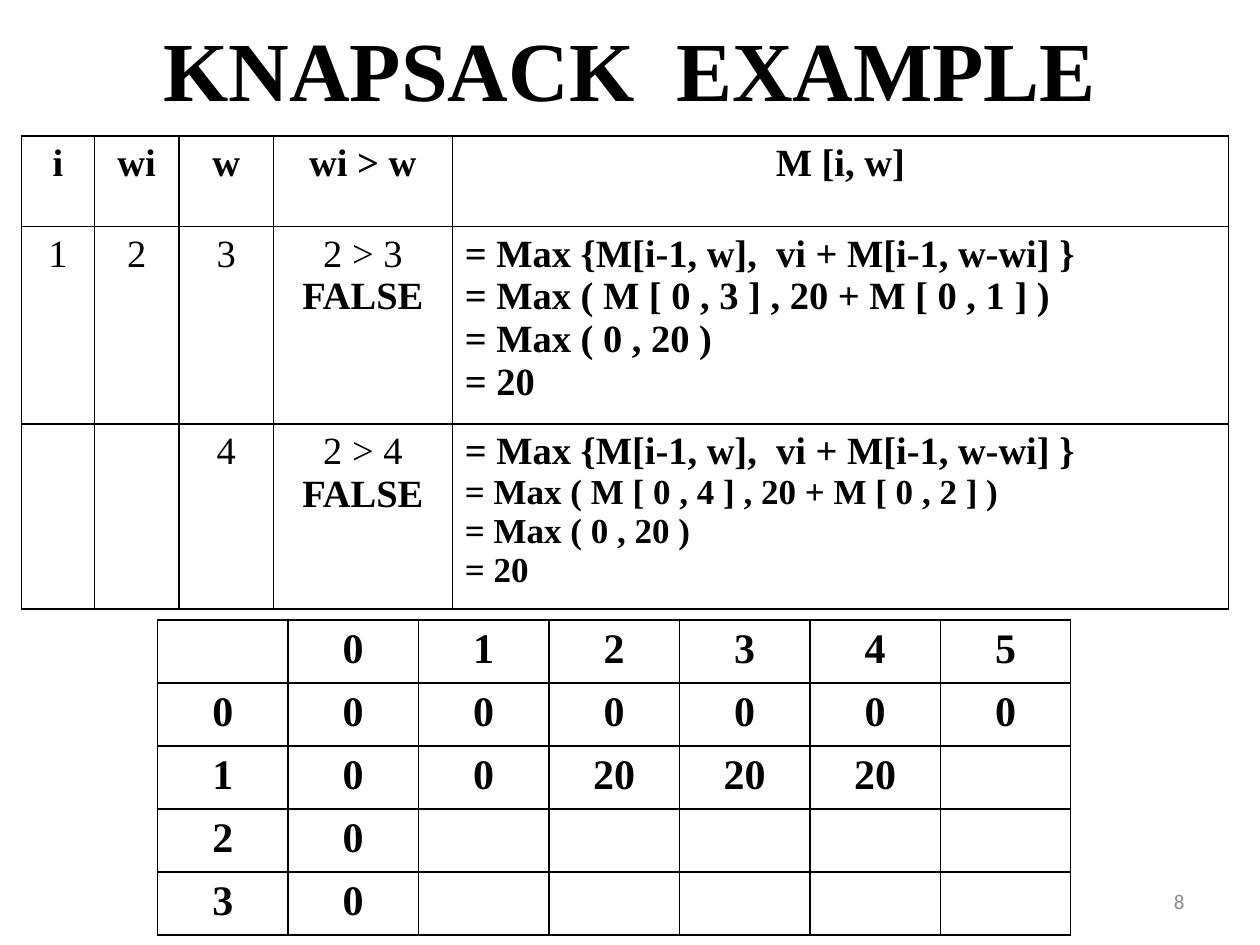
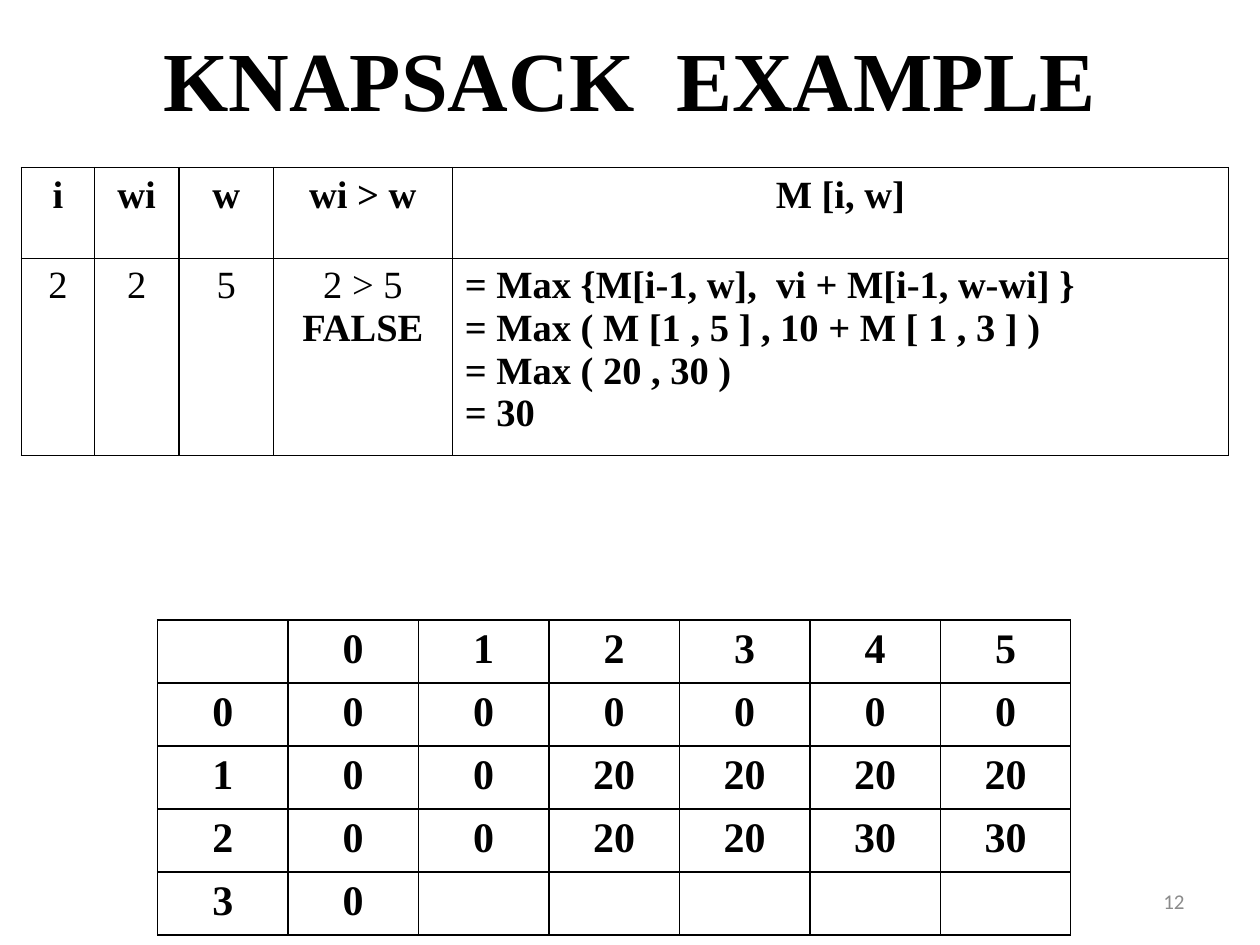
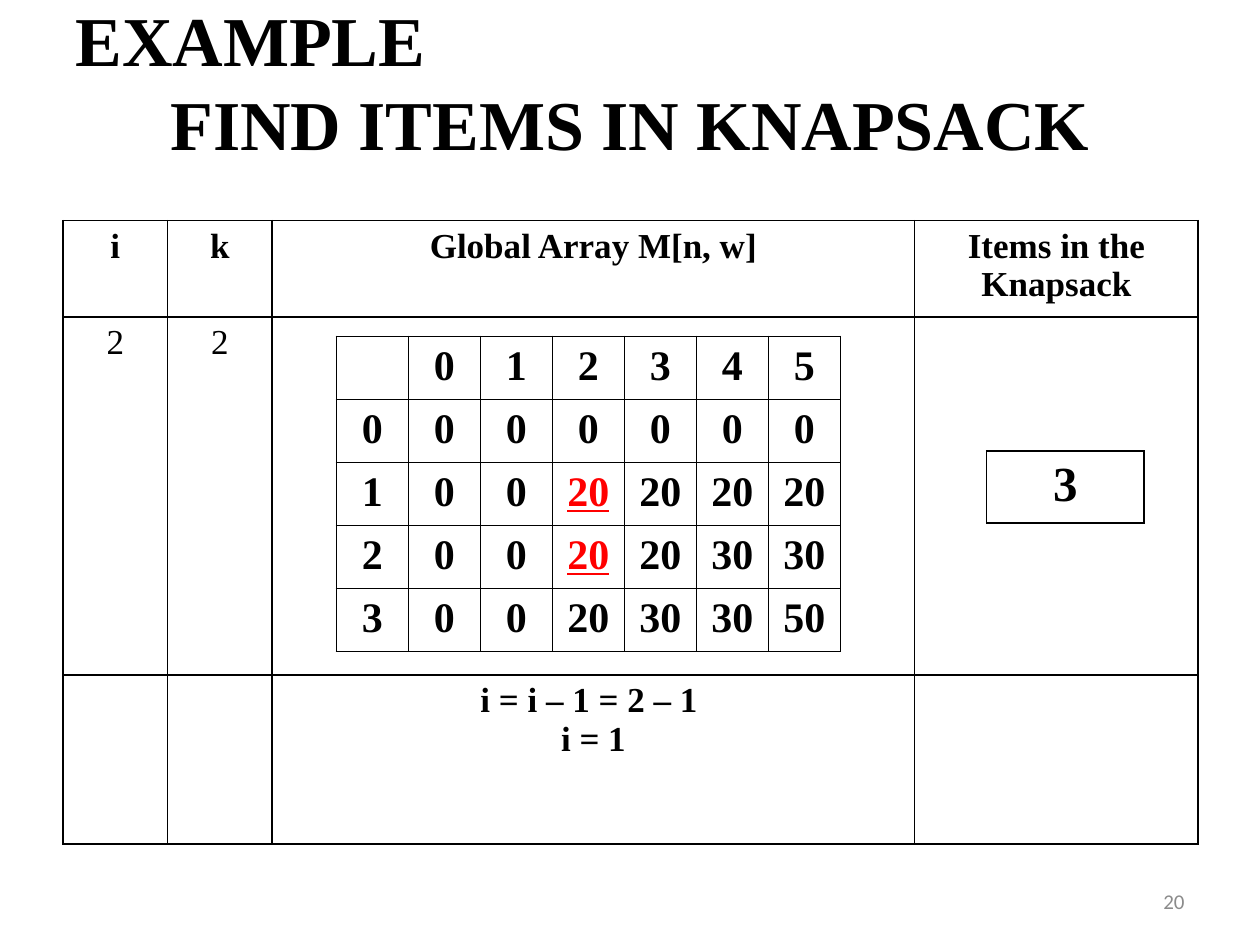
from lxml import etree
from pptx import Presentation
from pptx import util as u
from pptx.dml import color
from pptx.enum import text
from pptx.oxml import ns

BLACK, RED, GREY = "000000", "FF0000", "8B8B8B"
SERIF, SANS = "Times New Roman", "Calibri"
LEFT, CENTER, RIGHT = text.PP_ALIGN.LEFT, text.PP_ALIGN.CENTER, text.PP_ALIGN.RIGHT
TITLE_ONLY = 5
WORK_COLUMNS = [0.58, 0.67, 0.75, 1.42, 6.16]
WORK_HEADER = ["i", "wi", "w", "wi > w", "M [i, w]"]
RECURRENCE = "= Max {M[i-1, w],  vi + M[i-1, w-wi] }"


def rgb(value):
    return color.RGBColor.from_string(value)


def line(words, align=CENTER, **values):
    return {"words": words, "align": align, "values": values}


def plain(words):
    return line(words, bold=False)


def comparison(words):
    return [plain(words), line("FALSE")]


def derivation(*steps, size=22):
    return [line(RECURRENCE, LEFT)] + [line(step, LEFT, size=u.Pt(size)) for step in steps]


def value_grid(*item_rows, marked=()):
    rows = [["", *range(6)], [0] * 7]
    for item, values in enumerate(item_rows, 1):
        rows.append([item, *values, *[""] * (6 - len(values))])
    return [[[line(str(value), color=RED, underline=True)] if (row, column) in marked
             else str(value) for column, value in enumerate(values)]
            for row, values in enumerate(rows)]


class Deck:
    def __init__(self):
        self.deck = Presentation()
        self.deck.slide_width, self.deck.slide_height = u.Inches(10), u.Inches(7.5)
        self.page = None

    def place(self, shape, left, top, width, height):
        for name, value in zip(("left", "top", "width", "height"), (left, top, width, height)):
            setattr(shape, name, u.Inches(value))

    def add_lines(self, frame, lines, **shared):
        for index, item in enumerate(lines):
            para = frame.add_paragraph() if index else frame.paragraphs[0]
            para.alignment = item["align"]
            span = para.add_run()
            span.text = item["words"]
            values = {"name": SERIF, "bold": True, "color": BLACK, **shared, **item["values"]}
            span.font.color.rgb = rgb(values.pop("color"))
            for name, value in values.items():
                setattr(span.font, name, value)

    def start(self, number, lines, size=48, top=0.08, spacing=None):
        self.page = self.deck.slides.add_slide(self.deck.slide_layouts[TITLE_ONLY])
        title = self.page.shapes.title
        self.place(title, 0.5, top, 9, 1.08)
        frame = title.text_frame
        frame.auto_size = text.MSO_AUTO_SIZE.NONE
        frame.vertical_anchor = text.MSO_ANCHOR.MIDDLE
        self.add_lines(frame, lines, size=u.Pt(size))
        for para in frame.paragraphs:
            para.line_spacing = spacing
        self.number(number)

    def number(self, number):
        box = self.page.shapes.add_textbox(0, 0, 0, 0)
        self.place(box, 7.17, 6.95, 2.33, 0.4)
        frame = box.text_frame
        frame.word_wrap = True
        frame.vertical_anchor = text.MSO_ANCHOR.MIDDLE
        self.add_lines(frame, [line(str(number), RIGHT)],
                       name=SANS, size=u.Pt(12), bold=False, color=GREY)

    def border(self, cell):
        properties = cell._tc.get_or_add_tcPr()
        for index, side in enumerate(("lnL", "lnR", "lnT", "lnB")):
            edge = etree.Element(ns.qn(f"a:{side}"), w=str(u.Pt(1)))
            fill = etree.SubElement(edge, ns.qn("a:solidFill"))
            etree.SubElement(fill, ns.qn("a:srgbClr"), val=BLACK)
            properties.insert(index, edge)

    def table(self, left, top, columns, heights, rows, size):
        frame = self.page.shapes.add_table(
            len(heights), len(columns), u.Inches(left), u.Inches(top),
            u.Inches(sum(columns)), u.Inches(sum(heights)))
        table = frame.table
        table.first_row = table.horz_banding = False
        for column, width in zip(table.columns, columns):
            column.width = u.Inches(width)
        for row, height, contents in zip(table.rows, heights, rows):
            row.height = u.Inches(height)
            for cell, content in zip(row.cells, contents):
                cell.fill.background()
                self.border(cell)
                if content:
                    lines = [line(content)] if isinstance(content, str) else content
                    self.add_lines(cell.text_frame, lines, size=u.Pt(size))

    def grid(self, left, top, width, rows):
        self.table(left, top, [width / 7] * 7, [0.5] * 5, rows, 24)

    def work(self, top, heights, rows):
        self.table(0.17, top, WORK_COLUMNS, heights, [WORK_HEADER, *rows], 22)


def main():
    deck = Deck()
    heading = [line("KNAPSACK  EXAMPLE")]
    first_item = [0, 0, 20, 20, 20, 20]
    second_item = [0, 0, 20, 20, 30, 30]

    deck.start(8, heading, top=0)
    deck.grid(1.25, 4.92, 7.25, value_grid(first_item[:5], [0], [0]))
    deck.work(1.08, [0.72, 1.55, 1.45], [
        [[plain("1")], [plain("2")], [plain("3")], comparison("2 > 3"),
         derivation("= Max ( M [ 0 , 3 ] , 20 + M [ 0 , 1 ] )", "= Max ( 0 , 20 )", "= 20")],
        ["", "", [plain("4")], comparison("2 > 4"),
         derivation("= Max ( M [ 0 , 4 ] , 20 + M [ 0 , 2 ] )", "= Max ( 0 , 20 )", "= 20",
                    size=20)],
    ])

    deck.start(12, heading)
    deck.grid(1.25, 4.92, 7.25, value_grid(first_item, second_item, [0]))
    deck.work(1.33, [0.72, 1.53], [
        [[plain("2")], [plain("2")], [plain("5")], comparison("2 > 5"),
         derivation("= Max ( M [1 , 5 ] , 10 + M [ 1 , 3 ] )", "= Max ( 20 , 30 )", "= 30")],
    ])

    deck.start(20, [line("EXAMPLE", LEFT), line("FIND ITEMS IN KNAPSACK")],
               size=40, top=0.1, spacing=u.Pt(48))
    deck.grid(2.67, 2.67, 4, value_grid(first_item, second_item, [0, 0, 20, 30, 30, 50],
                                        marked={(2, 3), (3, 3)}))
    deck.table(0.5, 1.75, [0.83, 0.83, 5.1, 2.25], [0.73, 2.84, 1.34], [
        ["i", "k", "Global Array M[n, w]", "Items in the Knapsack"],
        [[plain("2")], [plain("2")], "", ""],
        ["", "", [line("i = i – 1 = 2 – 1 "), line("i = 1")], ""],
    ], 20)
    deck.table(7.83, 3.58, [1.25], [0.57], [["3"]], 28)

    deck.deck.save("out.pptx")


if __name__ == "__main__":
    main()
